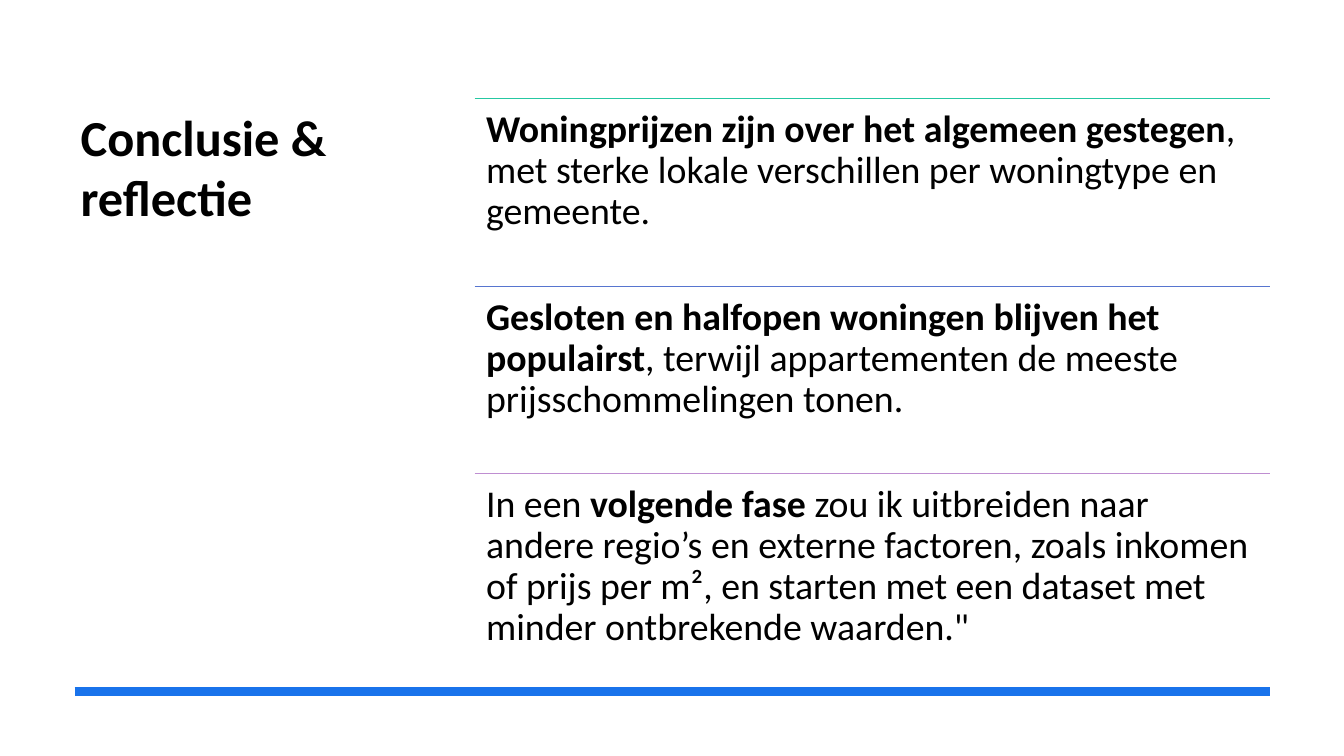
from dataclasses import dataclass

from lxml.etree import SubElement
from pptx import Presentation
from pptx.dml.color import RGBColor
from pptx.enum.shapes import MSO_CONNECTOR as Connector
from pptx.enum.text import MSO_ANCHOR as Anchor
from pptx.enum.text import MSO_AUTO_SIZE as AutoSize
from pptx.enum.text import PP_ALIGN as Align
from pptx.oxml.ns import qn
from pptx.slide import Slide
from pptx.text.text import TextFrame
from pptx.util import Pt

COLORS = {
    "text": "000000",
    "bar": "1973EB",
    "green": "25C8A2",
    "blue": "5775CF",
    "purple": "BF8ED1",
}
FONT = "Calibri"

# Layout, in points
RIGHT = 907.2
LIST_LEFT, LIST_TOP = 339.12, 70.56
ROW_HEIGHT = 133.92
BAR_LEFT, BAR_Y = 53.28, 493.92


@dataclass
class Span:
    text: str
    bold: bool = False


@dataclass
class Conclusion:
    color: str
    spans: list[Span]


CONCLUSIONS = [
    Conclusion("green", [
        Span("Woningprijzen zijn over het algemeen gestegen", True),
        Span(", met sterke lokale verschillen per woningtype en gemeente."),
    ]),
    Conclusion("blue", [
        Span("Gesloten en halfopen woningen blijven het populairst", True),
        Span(", terwijl appartementen de meeste prijsschommelingen tonen."),
    ]),
    Conclusion("purple", [
        Span("In een "),
        Span("volgende fase ", True),
        Span("zou ik uitbreiden naar andere regio’s en externe factoren, "
             "zoals inkomen of prijs per m², en starten met een dataset met "
             "minder ontbrekende waarden.\""),
    ]),
]


def set_frame(frame: TextFrame, inset_x: float, inset_y: float) -> None:
    frame.word_wrap = True
    frame.auto_size = AutoSize.NONE
    frame.vertical_anchor = Anchor.TOP
    frame.margin_left = frame.margin_right = Pt(inset_x)
    frame.margin_top = frame.margin_bottom = Pt(inset_y)


def write_spans(frame: TextFrame, spans: list[Span], size: float) -> None:
    para = frame.paragraphs[0]
    para.alignment = Align.LEFT
    para.line_spacing = 0.9
    para.font.name = FONT
    para.font.size = Pt(size)
    para.font.color.rgb = RGBColor.from_string(COLORS["text"])
    for span in spans:
        run = para.add_run()
        run.text = span.text
        run.font.bold = span.bold


def add_rule(page: Slide, left: float, y: float, color: str, width: float) -> None:
    rule = page.shapes.add_connector(
        Connector.STRAIGHT, Pt(left), Pt(y), Pt(RIGHT), Pt(y))
    rule.line.color.rgb = RGBColor.from_string(COLORS[color])
    rule.line.width = Pt(width)
    SubElement(rule._element.spPr, qn("a:effectLst"))


def add_title(page: Slide) -> None:
    title = page.shapes.title
    title.left, title.top = Pt(50.4), Pt(72)
    title.width, title.height = Pt(236.16), Pt(327.6)
    set_frame(title.text_frame, 7.2, 3.6)
    write_spans(title.text_frame, [Span("Conclusie & reflectie", True)], 36)
    title.text_frame.paragraphs[0].line_spacing = 1.0


def add_conclusion(page: Slide, top: float, conclusion: Conclusion) -> None:
    add_rule(page, LIST_LEFT, top, conclusion.color, 1)
    box = page.shapes.add_textbox(
        Pt(LIST_LEFT), Pt(top), Pt(RIGHT - LIST_LEFT), Pt(ROW_HEIGHT))
    set_frame(box.text_frame, 8.1, 8.1)
    write_spans(box.text_frame, conclusion.spans, 27)


def main() -> None:
    deck = Presentation()
    deck.slide_width, deck.slide_height = Pt(960), Pt(540)
    page = deck.slides.add_slide(deck.slide_layouts[5])

    # Title and bottom bar
    add_title(page)
    add_rule(page, BAR_LEFT, BAR_Y, "bar", 6)

    # Conclusions, each under its own coloured rule
    for row, conclusion in enumerate(CONCLUSIONS):
        add_conclusion(page, LIST_TOP + row * ROW_HEIGHT, conclusion)

    deck.save("out.pptx")


if __name__ == "__main__":
    main()
